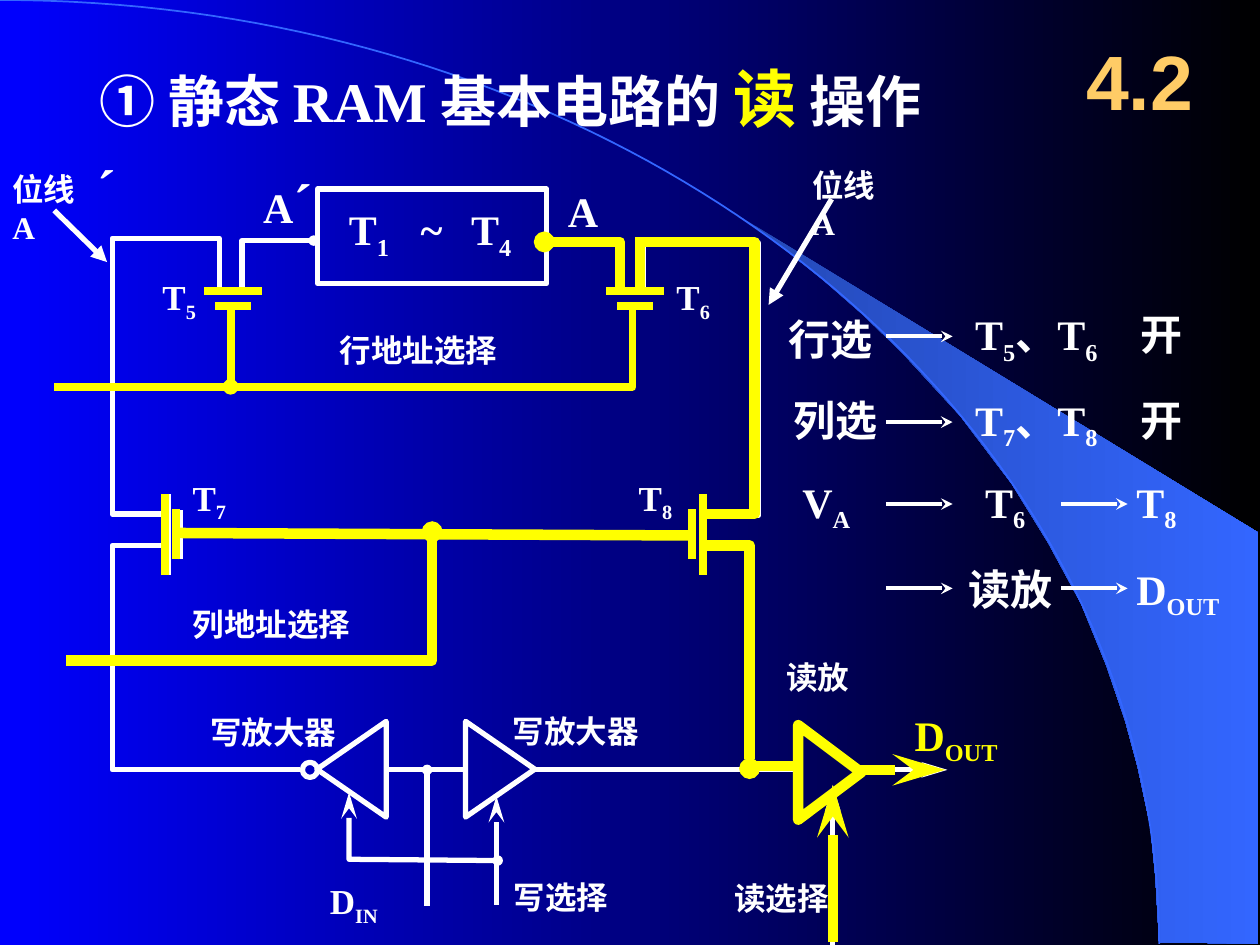
from dataclasses import dataclass
from typing import NamedTuple

from lxml.etree import SubElement
from pptx import Presentation
from pptx.dml.color import RGBColor as Rgb
from pptx.enum.shapes import MSO_CONNECTOR as Link, MSO_SHAPE as Preset
from pptx.enum.text import MSO_ANCHOR as Anchor, PP_ALIGN as Align
from pptx.oxml.ns import qn
from pptx.util import Cm, Pt


@dataclass(frozen=True)
class Theme:
    white: str = "FFFFFF"
    yellow: str = "FFFF00"
    orange: str = "FFCC66"
    blue: str = "0000FF"
    black: str = "000000"
    arc: str = "3366FF"
    deep: str = "2449B6"
    serif: str = "Times New Roman"
    sans: str = "Arial"
    small: float = 18
    gate: float = 20
    body: float = 24
    title: float = 32
    accent: float = 36
    section: float = 44
    thin: float = 2.25
    plain: float = 3
    strong: float = 4.5
    heavy: float = 6


THEME = Theme()


class Run(NamedTuple):
    text: str
    size: float | None = None
    color: str | None = None
    sub: bool = False


class Wire(NamedTuple):
    points: list[tuple[float, float]]
    color: str = THEME.white
    width: float = THEME.plain
    head: str = ""
    tail: str = ""


class Symbol(NamedTuple):
    preset: Preset
    box: tuple[float, float, float, float]
    turn: int = 0
    color: str = THEME.white
    width: float = THEME.plain


class Label(NamedTuple):
    box: tuple[float, float, float, float]
    runs: list[Run]
    size: float = THEME.small
    color: str = THEME.white
    font: str = THEME.serif
    inset: float = 0.1
    wrap: bool = False
    tabs: tuple[float, ...] = ()
    align: Align = Align.LEFT
    anchor: Anchor = Anchor.TOP


ENDS = {"oval": ("oval", "sm", "sm"), "dart": ("stealth", "med", "lg"),
        "stealth": ("stealth", "med", "med"), "triangle": ("triangle", "med", "med")}


def inch(value: float) -> Cm:
    return Cm(value * 2.54)


def formula(text: str) -> list[Run]:
    return [Run(part, sub=i % 2 == 1) for i, part in enumerate(text.split("|")) if part]


def shade(fill, start: str, end: str) -> None:
    fill.gradient()
    fill.gradient_angle = 0
    for stop, color, place in zip(fill.gradient_stops, (start, end), (0, 1)):
        stop.color.rgb = Rgb.from_string(color)
        stop.position = place


def outline(line, color: str, width: float) -> None:
    line.color.rgb = Rgb.from_string(color)
    line.width = Pt(width)


def trace(shapes, points):
    start, *rest = [(inch(x), inch(y)) for x, y in points]
    builder = shapes.build_freeform(*start)
    builder.add_line_segments(rest, close=points[0] == points[-1])
    shape = builder.convert_to_shape()
    shape.shadow.inherit = False
    return shape


def draw_wire(shapes, wire: Wire) -> None:
    if len(wire.points) == 2:
        (x1, y1), (x2, y2) = wire.points
        stroke = shapes.add_connector(Link.STRAIGHT, inch(x1), inch(y1), inch(x2), inch(y2))
        SubElement(stroke._element.spPr, qn("a:effectLst"))
    else:
        stroke = trace(shapes, wire.points)
        stroke.fill.background()
    outline(stroke.line, wire.color, wire.width)
    ln = stroke.line._get_or_add_ln()
    SubElement(ln, qn("a:round"))
    for tag, end in (("a:headEnd", wire.head), ("a:tailEnd", wire.tail)):
        if end:
            kind, width, length = ENDS[end]
            SubElement(ln, qn(tag), type=kind, w=width, len=length)


def draw_symbol(shapes, symbol: Symbol) -> None:
    shape = shapes.add_shape(symbol.preset, *map(inch, symbol.box))
    shape.rotation = symbol.turn
    shape.shadow.inherit = False
    shape.fill.background()
    outline(shape.line, symbol.color, symbol.width)


def draw_label(shapes, label: Label) -> None:
    frame = shapes.add_textbox(*map(inch, label.box)).text_frame
    frame.word_wrap = label.wrap
    frame.vertical_anchor = label.anchor
    frame.margin_left = frame.margin_right = inch(label.inset)
    paragraph = frame.paragraphs[0]
    paragraph.alignment = label.align
    if label.tabs:
        stops = SubElement(paragraph._p.get_or_add_pPr(), qn("a:tabLst"))
        for place in label.tabs:
            SubElement(stops, qn("a:tab"), pos=str(int(inch(place))), algn="l")
    font = paragraph.font
    font.name, font.size, font.bold = label.font, Pt(label.size), True
    font.color.rgb = Rgb.from_string(label.color)
    for part in label.runs:
        run = paragraph.add_run()
        run.text = part.text
        if part.size:
            run.font.size = Pt(part.size)
        if part.color:
            run.font.color.rgb = Rgb.from_string(part.color)
        if part.sub:
            run._r.get_or_add_rPr().set("baseline", "-25000")


def draw_backdrop(slide) -> None:
    shade(slide.background.fill, THEME.blue, THEME.black)
    beam = trace(slide.shapes, [
        (9.2, 7.48), (9.99, 7.49), (9.99, 4.23), (5.89, 1.73), (6.24, 1.99), (6.53, 2.22),
        (6.85, 2.5), (7.16, 2.8), (7.62, 3.3), (8.03, 3.84), (8.32, 4.31), (8.58, 4.79),
        (8.78, 5.28), (8.93, 5.72), (9.03, 6.09), (9.13, 6.56), (9.17, 6.96), (9.2, 7.48)])
    shade(beam.fill, THEME.deep, THEME.arc)
    beam.line.fill.background()
    steps = [i / 80 for i in range(81)]
    curve = [(15.24 * t * (1 - t) ** 2 + 27.6 * t * t * (1 - t) + 9.2 * t ** 3,
              10.05 * t * t * (1 - t) + 7.49 * t ** 3) for t in steps]
    draw_wire(slide.shapes, Wire(curve, THEME.arc, 1))


def yellow(points, width=THEME.heavy, head="", tail="") -> Wire:
    return Wire(points, THEME.yellow, width, head, tail)


WHITE_WIRES = [
    Wire([(2.49, 1.91), (1.92, 1.91), (1.92, 2.31)], head="oval"),
    Wire([(1.34, 4.56), (1.34, 3.92)]),
    Wire([(1.43, 4.44), (1.43, 4.05)]),
    Wire([(4.25, 6.11), (6.34, 6.11)]),
    Wire([(6.88, 6.11), (7.52, 6.11)], tail="dart"),
    Wire([(3.07, 6.11), (3.7, 6.11)]),
    Wire([(3.39, 6.11), (3.39, 7.19)], head="oval"),
    Wire([(3.94, 7.18), (3.94, 6.32)], tail="dart"),
    Wire([(2.77, 6.29), (2.77, 6.82), (3.95, 6.83)], head="dart", tail="oval"),
    Wire([(1.34, 4.33), (0.89, 4.33), (0.89, 6.11), (2.38, 6.11)]),
    Wire([(6.61, 7.5), (6.61, 6.23)], tail="dart"),
    Wire([(1.74, 2.3), (1.74, 1.89), (0.89, 1.89), (0.89, 4.08), (1.34, 4.08)]),
    Wire([(5.11, 2.31), (5.11, 1.93), (6.02, 1.93), (6.02, 4.09), (5.59, 4.09)]),
    Wire([(6.6, 1.58), (6.1, 2.42)], tail="triangle"),
    Wire([(0.43, 1.67), (0.85, 2.08)], tail="triangle"),
]
FLOW_ARROWS = [Wire([(x, y), (x + 0.53, y)], width=THEME.thin, tail="stealth")
               for x, y in [(7.03, 2.67), (7.03, 3.35), (7.03, 4), (8.42, 4), (7.03, 4.67), (8.42, 4.67)]]
READ_WIRES = [
    yellow([(3.43, 4.22), (3.43, 5.24), (0.52, 5.24)], head="oval"),
    yellow([(1.41, 4.23), (5.51, 4.25)]),
    yellow([(4.32, 1.92), (4.92, 1.92), (4.92, 2.3)], head="oval"),
    yellow([(5.58, 4.33), (5.95, 4.33), (5.95, 6.1)], tail="oval"),
    yellow([(5.96, 6.08), (6.35, 6.08)]),
    yellow([(6.61, 7.48), (6.61, 6.23)], tail="dart"),
    yellow([(5.08, 1.92), (5.99, 1.92), (5.99, 4.08), (5.57, 4.08)]),
    yellow([(5.08, 2.29), (5.08, 1.88)]),
    yellow([(5.02, 2.43), (5.02, 3.07), (0.43, 3.07)], THEME.strong),
    yellow([(1.83, 2.43), (1.83, 3.07)], THEME.strong, tail="oval"),
    yellow([(6.81, 6.11), (7.5, 6.11)], tail="dart"),
]
ROW_GATES = [yellow([(x - half, y), (x + half, y)], THEME.strong)
             for x in (1.85, 5.04) for y, half in ((2.31, 0.23), (2.43, 0.14))]
COLUMN_GATES = [yellow([(x, 4.24 - half), (x, 4.24 + half)], THEME.strong)
                for x, half in ((1.31, 0.32), (1.4, 0.2), (5.58, 0.32), (5.49, 0.2))]
SYMBOLS = [
    Symbol(Preset.RECTANGLE, (2.52, 1.5, 1.82, 0.75)),
    Symbol(Preset.ISOSCELES_TRIANGLE, (3.59, 5.83, 0.76, 0.55), 90),
    Symbol(Preset.ISOSCELES_TRIANGLE, (2.41, 5.83, 0.76, 0.55), 270),
    Symbol(Preset.OVAL, (2.4, 6.05, 0.12, 0.12)),
    Symbol(Preset.ISOSCELES_TRIANGLE, (6.21, 5.88, 0.75, 0.5), 90, THEME.yellow, THEME.heavy),
]
GATE_NAMES = [Label((x, y, 0.48, 0.43), formula(name), THEME.gate) for x, y, name in [
    (1.19, 2.14, "T|5"), (5.27, 2.14, "T|6"), (1.43, 3.73, "T|7"), (4.97, 3.73, "T|8")]]
CAPTIONS = [Label((x, y, width, 0.4), [Run(text)]) for x, y, width, text in [
    (1.57, 5.61, 1.21, "写放大器"), (3.97, 5.6, 1.21, "写放大器"), (3.98, 6.92, 0.96, "写选择"),
    (5.73, 6.93, 0.96, "读选择"), (6.14, 5.17, 0.7, "读放"), (1.43, 4.75, 1.46, "列地址选择"),
    (2.6, 2.58, 1.46, "行地址选择")]]
BIT_LINES = [Label((x, y, 0.8, 0.67), [Run("位线A")], wrap=True) for x, y in [(6.35, 1.27), (0, 1.3)]]
READ_STEPS = [Label((x, y, width, 0.5), formula(text), THEME.body, inset=inset, wrap=True, tabs=tabs)
              for x, y, width, text, inset, tabs in [
    (6.2, 2.44, 0.85, "行选", 0.06, ()), (7.72, 2.4, 1.93, "T|5|、T|6|\t开", 0.02, (1.31,)),
    (6.28, 3.08, 0.83, "列选", 0.02, ()), (7.72, 3.08, 1.93, "T|7|、T|8|\t开", 0.02, (1.31,)),
    (6.27, 3.73, 0.75, "V|A", 0.1, ()), (7.67, 4.42, 0.92, "读放", 0.02, ()),
    (8.92, 4.42, 1.05, "D|OUT", 0.1, ())]]
READ_PATH = [Label((x, 3.73, 0.53, 0.5), formula(name), THEME.body)
             for x, name in ((7.72, "T|6"), (8.92, "T|8"))]
NAMES = [
    Label((1.99, 1.28, 0.59, 0.63), [Run("A", THEME.body), Run("´", THEME.title)], THEME.body),
    Label((2.67, 1.57, 1.6, 0.57), formula("T|1|\t~\tT|4"), THEME.body, wrap=True, tabs=(0.57, 0.97)),
    Label((4.41, 1.42, 0.44, 0.5), [Run("A")], THEME.body),
    Label((2.52, 6.93, 0.6, 0.43), formula("D|IN"), THEME.gate),
    Label((0.67, 1.17, 0.35, 0.63), [Run("´")], THEME.title),
    Label((7.16, 5.58, 0.92, 0.5), formula("D|OUT"), THEME.body, THEME.yellow),
    Label((0.69, 0.42, 7.56, 0.7), [Run("① 静态 RAM 基本电路的 "), Run("读", THEME.accent, THEME.yellow),
                                    Run(" 操作")], THEME.title, wrap=True),
    Label((8.42, 0.17, 1.25, 0.92), [Run("4.2")], THEME.section, THEME.orange, THEME.sans,
          wrap=True, align=Align.CENTER, anchor=Anchor.MIDDLE),
]


def main() -> None:
    deck = Presentation()
    deck.slide_width, deck.slide_height = Cm(25.4), Cm(19.05)
    slide = deck.slides.add_slide(deck.slide_layouts[6])
    draw_backdrop(slide)
    for wire in WHITE_WIRES + FLOW_ARROWS:
        draw_wire(slide.shapes, wire)
    for symbol in SYMBOLS:
        draw_symbol(slide.shapes, symbol)
    for wire in READ_WIRES + ROW_GATES + COLUMN_GATES:
        draw_wire(slide.shapes, wire)
    for label in GATE_NAMES + CAPTIONS + BIT_LINES + READ_STEPS + READ_PATH + NAMES:
        draw_label(slide.shapes, label)
    deck.save("out.pptx")


if __name__ == "__main__":
    main()
